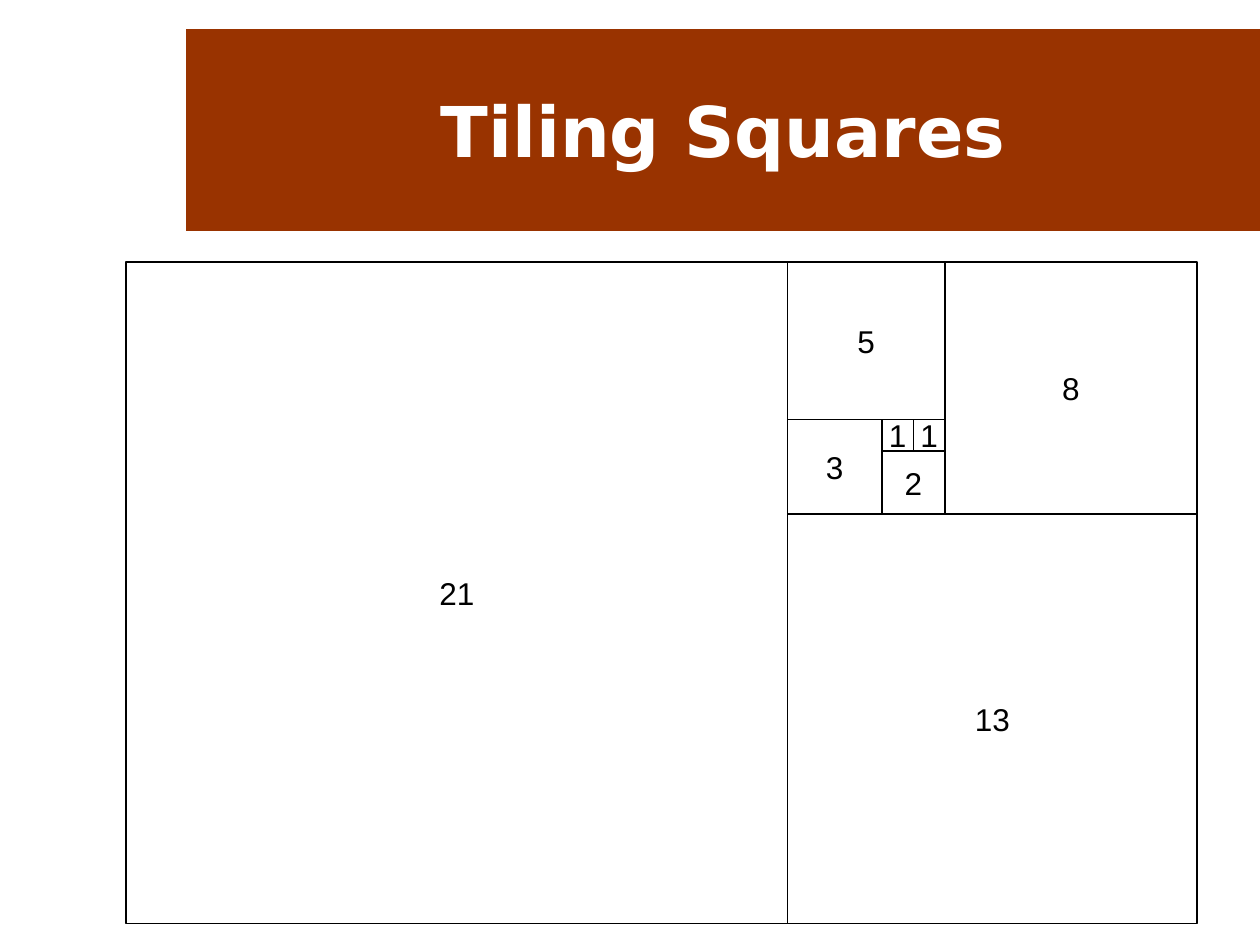
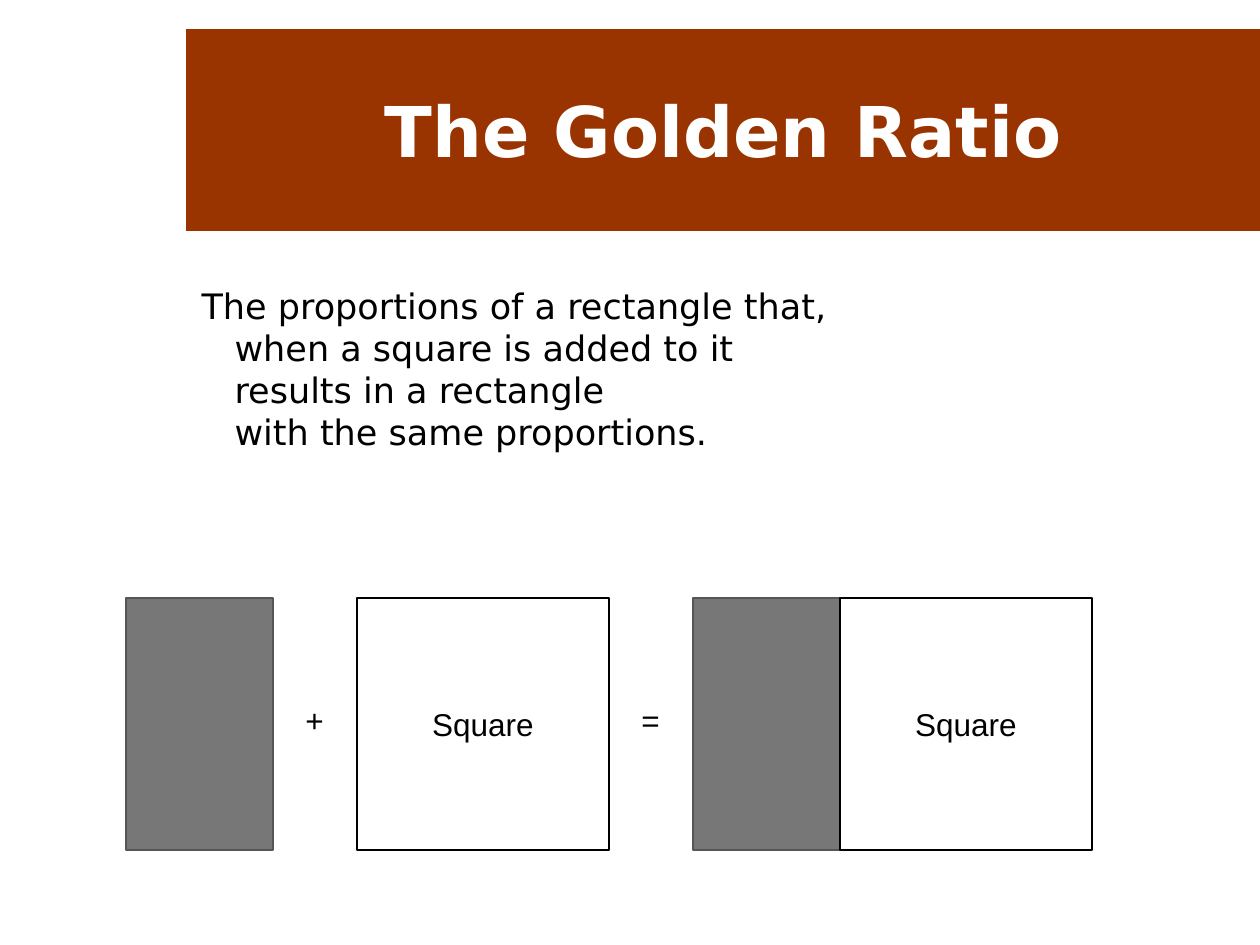
import copy

import pptx
import pptx.util
import pptx.dml.color
import pptx.enum.shapes
import pptx.enum.text

PX = pptx.util.Inches(1) / 126
COLORS = {"band": "993300", "title": "FFFFFF", "ink": "000000",
          "bar": "777777", "bar_edge": "565656"}
TITLE = {"name": "DejaVu Sans", "size": pptx.util.Pt(40), "bold": True}
BODY = {"name": "DejaVu Sans", "size": pptx.util.Pt(20), "bold": False}
LABEL = {"name": "Arial", "size": pptx.util.Pt(18), "bold": False}
TITLE_BOX = (186, 29, 1074, 202)
BODY_BOX = (189, 278, 1071, 567)
TILING_BOX = (126, 262, 1071)
EQUATION_BOX = (126, 598)

ALIGN = pptx.enum.text.PP_ALIGN
MIDDLE = pptx.enum.text.MSO_ANCHOR.MIDDLE
TITLE_AND_BODY, TITLE_ONLY = 1, 5


def emu(px):
    return pptx.util.Emu(round(px * PX))


def rgb(name):
    return pptx.dml.color.RGBColor.from_string(COLORS[name])


def move(sp, box):
    for name, value in zip(("left", "top", "width", "height"), box):
        setattr(sp, name, emu(value))


def write(sp, text, fmt, color, align, wrap=True):
    """Fill a shape with one paragraph; newlines become line breaks."""
    tf = sp.text_frame
    tf.word_wrap = wrap
    tf.auto_size = pptx.enum.text.MSO_AUTO_SIZE.NONE
    p = tf.paragraphs[0]
    p.alignment = align
    p.space_before = pptx.util.Pt(0)
    for i, line in enumerate(text.split("\n")):
        if i:
            p.add_line_break()
        r = p.add_run()
        r.text = line
        for name, value in fmt.items():
            setattr(r.font, name, value)
        r.font.color.rgb = rgb(color)
    for br in p._p.br_lst if hasattr(p._p, "br_lst") else p._p.xpath("a:br"):
        br.append(copy.deepcopy(r.font._rPr))
    return p


def add_rect(s, box, edge="ink", fill=None, weight=0.75, label=None):
    kind = pptx.enum.shapes.MSO_SHAPE.RECTANGLE
    sp = s.shapes.add_shape(kind, *map(emu, box))
    sp.shadow.inherit = False
    if fill:
        sp.fill.solid()
        sp.fill.fore_color.rgb = rgb(fill)
    else:
        sp.fill.background()
    sp.line.color.rgb = rgb(edge)
    sp.line.width = pptx.util.Pt(weight)
    if label:
        sp.text_frame.vertical_anchor = MIDDLE
        write(sp, label, LABEL, "ink", ALIGN.CENTER, wrap=False)


def add_slide(prs, layout, title):
    s = prs.slides.add_slide(prs.slide_layouts[layout])
    sp = s.shapes.title
    move(sp, TITLE_BOX)
    sp.fill.solid()
    sp.fill.fore_color.rgb = rgb("band")
    sp.text_frame.vertical_anchor = MIDDLE
    write(sp, title, TITLE, "title", ALIGN.CENTER)
    return s


def fibonacci_tiles(sides):
    """Spiral the squares right, below, left, above; return tiles and bounds."""
    x = y = 0
    w = h = sides[0]
    tiles = [(x, y, sides[0])]
    for i, n in enumerate(sides[1:]):
        turn = i % 4
        tx, ty = ((x + w, y), (x, y + h), (x - n, y), (x, y - n))[turn]
        tiles.append((tx, ty, n))
        x, y = min(x, tx), min(y, ty)
        if turn % 2:
            h += n
        else:
            w += n
    return tiles, (x, y, w)


def add_tiling(s, box):
    left, top, width = box
    tiles, (x0, y0, columns) = fibonacci_tiles([1, 1, 2, 3, 5, 8, 13, 21])
    unit = width / columns
    for x, y, n in tiles:
        add_rect(s, (left + (x - x0) * unit, top + (y - y0) * unit,
                     n * unit, n * unit), label=str(n))


def add_definition(s, box, text):
    sp = s.placeholders[1]
    move(sp, box)
    p = write(sp, text, BODY, "ink", ALIGN.LEFT)
    pPr = p._p.get_or_add_pPr()
    for name, px in {"marL": 33, "indent": -33}.items():
        pPr.set(name, str(emu(px)))
    pPr.append(pPr.makeelement(pptx.oxml.ns.qn("a:buNone"), {}))


def add_equation(s, box):
    """Bar + square = bar and square joined."""
    x, top = box
    side, bar, gap = 252, 147, 84

    def add_bar(x):
        add_rect(s, (x, top, bar, side), "bar_edge", "bar", 1)
        return x + bar

    def add_square(x):
        add_rect(s, (x, top, side, side), label="Square")
        return x + side

    def add_sign(x, sign):
        sp = s.shapes.add_textbox(*map(emu, (x + 20, top + 97, 43, 50)))
        write(sp, sign, LABEL, "ink", ALIGN.LEFT, wrap=False)
        return x + gap

    x = add_sign(add_bar(x), "+")
    x = add_sign(add_square(x), "=")
    add_square(add_bar(x))


def main():
    prs = pptx.Presentation()
    prs.slide_width, prs.slide_height = emu(1260), emu(945)

    s = add_slide(prs, TITLE_ONLY, "Tiling Squares")
    add_tiling(s, TILING_BOX)

    s = add_slide(prs, TITLE_AND_BODY, "The Golden Ratio")
    add_definition(s, BODY_BOX, "The proportions of a rectangle that,\n"
                   "when a square is added to it\nresults in a rectangle\n"
                   "with the same proportions.")
    add_equation(s, EQUATION_BOX)

    prs.save("out.pptx")


if __name__ == "__main__":
    main()
